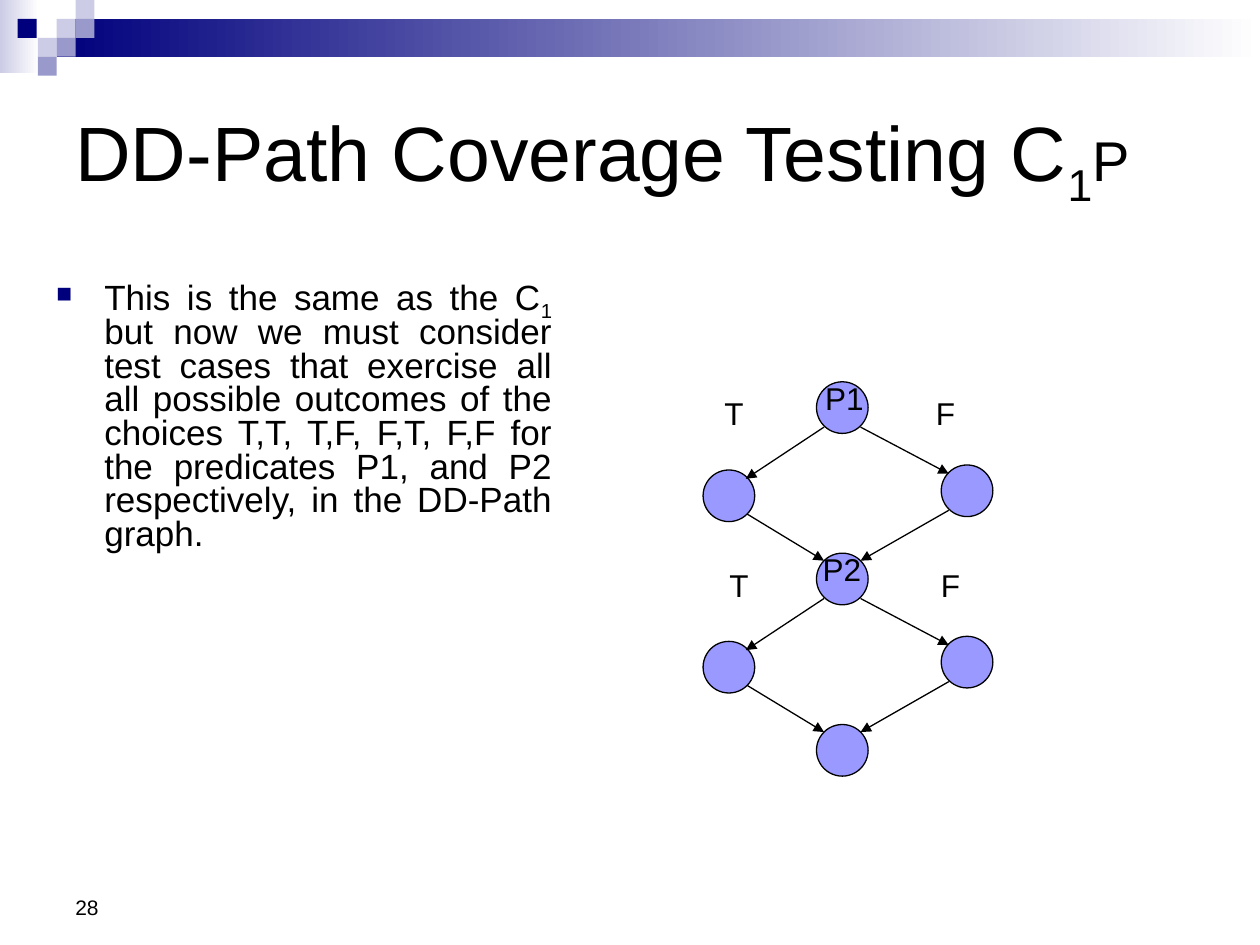
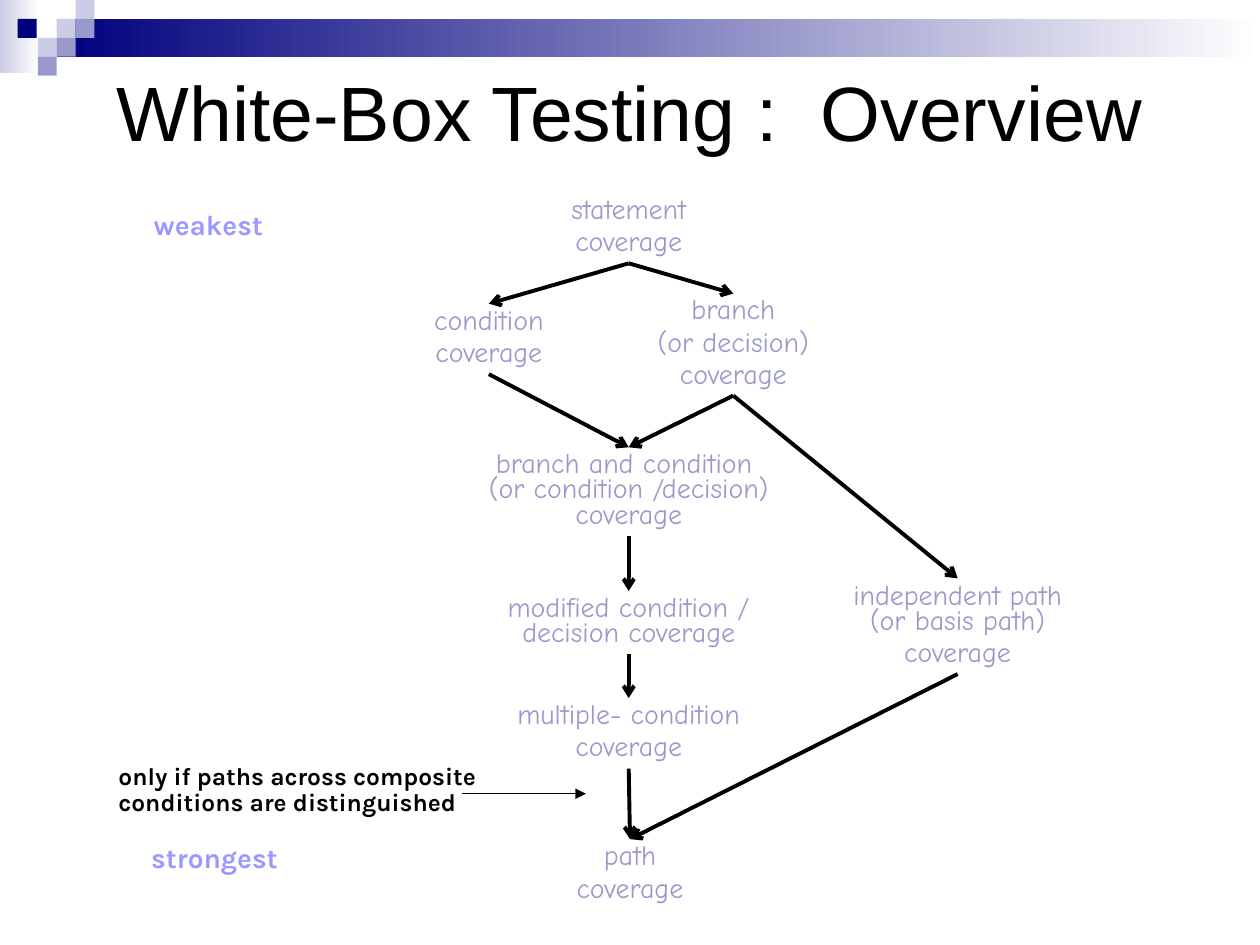
from dataclasses import dataclass

from pptx import Presentation
from pptx.dml.color import RGBColor
from pptx.enum.shapes import MSO_CONNECTOR as Connector, MSO_SHAPE as Shape
from pptx.enum.text import MSO_ANCHOR as Anchor, PP_ALIGN as Align
from pptx.oxml.ns import qn
from pptx.oxml.xmlchemy import OxmlElement as Element
from pptx.util import Inches, Pt


@dataclass(frozen=True)
class Theme:
    ink: str = "000000"
    white: str = "FFFFFF"
    navy: str = "00007D"
    lavender: str = "9999CC"
    mist: str = "CCCCE6"
    periwinkle: str = "9999FF"
    sans: str = "Arial"
    casual: str = "Comic Neue"
    accent: str = "Karla"
    title: int = 44
    title_suffix: int = 32
    body: int = 20
    label: int = 18
    coverage: int = 16
    note: int = 14
    number: int = 12
    thin: float = 0.75
    thick: float = 2.25


theme = Theme()


def add_text(slide, box, paragraphs, size, font=theme.sans, color=theme.ink, bold=False,
             align=Align.LEFT, anchor=Anchor.TOP, inset=(0.1, 0.05),
             spacing=None, before=0):
    frame = slide.shapes.add_textbox(*map(Inches, box)).text_frame
    frame.word_wrap = True
    frame.vertical_anchor = anchor
    frame.margin_left = frame.margin_right = Inches(inset[0])
    frame.margin_top = frame.margin_bottom = Inches(inset[1])
    for index, parts in enumerate(paragraphs):
        paragraph = frame.add_paragraph() if index else frame.paragraphs[0]
        paragraph.text = parts[0]
        for part in parts[1:]:
            paragraph.add_run().text = part
        paragraph.alignment = align
        paragraph.space_before = Pt(before)
        if spacing:
            paragraph.line_spacing = spacing
        for run in paragraph.runs:
            run.font.name = font
            run.font.size = Pt(size)
            run.font.bold = bold
            run.font.color.rgb = RGBColor.from_string(color)
    return frame.paragraphs[0]


def add_arrow(slide, start, end, width, head):
    arrow = slide.shapes.add_connector(Connector.STRAIGHT, *map(Inches, (*start, *end)))
    arrow.line.color.rgb = RGBColor.from_string(theme.ink)
    arrow.line.width = Pt(width)
    properties = arrow._element.spPr
    tail = Element("a:tailEnd")
    tail.set("type", head)
    properties.find(qn("a:ln")).append(tail)
    properties.append(Element("a:effectLst"))


deck = Presentation()
deck.slide_width, deck.slide_height = Inches(10), Inches(7.5)
blank = deck.slide_layouts[6]
path_slide = deck.slides.add_slide(blank)
overview_slide = deck.slides.add_slide(blank)

square = 0.15
header_parts = [
    (0, 0, 0.31, 0.58, theme.mist, True),
    (0.45, 0.15, 9.55, 0.3, theme.navy, True),
    (0.45, 0.15, square, square, theme.mist, False),
    (0.6, 0, square, square, theme.mist, False),
    (0.6, 0.15, square, square, theme.lavender, False),
    (0.3, 0.3, square, square, theme.mist, False),
    (0.14, 0.15, square, square, theme.navy, False),
    (0.45, 0.3, square, square, theme.lavender, False),
    (0.3, 0.45, square, square, theme.lavender, False),
]
for slide in (path_slide, overview_slide):
    for *box, color, fades in header_parts:
        block = slide.shapes.add_shape(Shape.RECTANGLE, *map(Inches, box))
        block.shadow.inherit = False
        block.line.fill.background()
        if fades:
            block.fill.gradient()
            block.fill.gradient_angle = 0
            for stop, shade in zip(block.fill.gradient_stops, (color, theme.white)):
                stop.color.rgb = RGBColor.from_string(shade)
        else:
            block.fill.solid()
            block.fill.fore_color.rgb = RGBColor.from_string(color)

add_text(path_slide, (0.5, 6.83, 2.33, 0.52), [["28"]], theme.number, anchor=Anchor.BOTTOM)
path_title = add_text(path_slide, (0.5, 0.5, 9, 1.5),
                      [["DD-Path Coverage Testing C", "1", "P"]],
                      theme.title, anchor=Anchor.MIDDLE)
path_title.runs[2].font.size = Pt(theme.title_suffix)
explanation = add_text(
    path_slide, (0.35, 2.17, 4.13, 2.48),
    [["This is the same as the C", "1",
      " but now we must consider test cases that exercise all all possible outcomes of the "
      "choices T,T, T,F, F,T, F,F for the predicates P1, and P2 respectively, in the "
      "DD-Path graph."]],
    theme.body, align=Align.JUSTIFY, spacing=0.8, before=5)
for paragraph in (path_title, explanation):
    paragraph.runs[1]._r.get_or_add_rPr().set("baseline", "-25000")

bullet = explanation._p.get_or_add_pPr()
bullet.set("marL", str(Inches(0.38)))
bullet.set("indent", str(Inches(-0.38)))
bullet_color = Element("a:buClr")
bullet_rgb = Element("a:srgbClr")
bullet_rgb.set("val", theme.navy)
bullet_color.append(bullet_rgb)
bullet.append(bullet_color)
for tag, key, value in (("a:buSzPct", "val", "75000"), ("a:buFont", "typeface", theme.sans),
                        ("a:buChar", "char", "■")):
    setting = Element(tag)
    setting.set(key, value)
    bullet.append(setting)

level_gap = 1.36
diameter = 0.41
levels = [0, level_gap]
graph_nodes = [(x, y + level) for level in levels
               for x, y in ((6.48, 3.03), (5.58, 3.73), (7.47, 3.69))]
graph_nodes.append((6.48, 3.03 + 2 * level_gap))
for x, y in graph_nodes:
    node = path_slide.shapes.add_shape(Shape.OVAL, *map(Inches, (x, y, diameter, diameter)))
    node.shadow.inherit = False
    node.fill.solid()
    node.fill.fore_color.rgb = RGBColor.from_string(theme.periwinkle)
    node.line.color.rgb = RGBColor.from_string(theme.ink)
    node.line.width = Pt(theme.thin)

branches = [((6.54, 3.39), (5.92, 3.8)), ((6.83, 3.39), (7.53, 3.76)),
            ((5.93, 4.08), (6.54, 4.45)), ((7.53, 4.05), (6.83, 4.45))]
for level in levels:
    for (x1, y1), (x2, y2) in branches:
        add_arrow(path_slide, (x1, y1 + level), (x2, y2 + level), theme.thin, "triangle")

for level, predicate, predicate_x, true_x in ((0, "P1", 6.45, 5.65),
                                              (level_gap, "P2", 6.43, 5.69)):
    for text, x, y in (("T", true_x, 3.08), ("F", true_x + 1.68, 3.08),
                       (predicate, predicate_x, 2.96)):
        add_text(path_slide, (x, y + level, 0.6, 0.4), [[text]], theme.label)

add_text(overview_slide, (0.5, 0.5, 9, 0.75), [["White-Box Testing :  Overview"]],
         theme.title, align=Align.CENTER, anchor=Anchor.MIDDLE)

criteria = {
    "statement": (4.99, 1.53, 1.2, 0.56, ["statement", "coverage"]),
    "condition": (3.88, 2.41, 1.52, 0.56, ["condition", "coverage"]),
    "branch": (5.82, 2.33, 1.88, 0.81, ["branch", "(or decision)", "coverage"]),
    "combined": (4.99, 3.55, 2.91, 0.7,
                 ["branch and condition \v(or condition /decision) coverage"]),
    "modified": (4.99, 4.69, 2.63, 0.5, ["modified condition / decision coverage"]),
    "multiple": (4.99, 5.54, 3.09, 0.56, ["multiple- condition", "coverage"]),
    "independent": (7.6, 4.59, 2.08, 0.76, ["independent path (or basis path)", "coverage"]),
    "path": (5, 6.66, 1.2, 0.56, ["path", "coverage"]),
}
for center, top, width, height, lines in criteria.values():
    add_text(overview_slide, (center - width / 2, top, width, height),
             [[line] for line in lines], theme.coverage, theme.casual, theme.lavender,
             align=Align.CENTER, anchor=Anchor.MIDDLE, spacing=0.75,
             before=4 if len(lines) > 1 else 0)

subsumptions = [("statement", "condition"), ("statement", "branch"),
                ("condition", "combined"), ("branch", "combined"),
                ("combined", "modified"), ("modified", "multiple"),
                ("independent", "path"), ("branch", "independent"), ("multiple", "path")]
for weaker, stronger in subsumptions:
    center, top, width, height, lines = criteria[weaker]
    add_arrow(overview_slide, (center, top + height), criteria[stronger][:2],
              theme.thick, "arrow")

remarks = [
    ((1.2, 6.7, 1.07, 0.24), "strongest", theme.coverage, theme.periwinkle),
    ((1.22, 1.68, 0.93, 0.24), "weakest", theme.coverage, theme.periwinkle),
    ((0.94, 6.07, 2.87, 0.62),
     "only if paths across composite conditions are distinguished",
     theme.note, theme.ink),
]
for box, text, size, color in remarks:
    add_text(overview_slide, box, [[text]], size, theme.accent, color, bold=True,
             inset=(0, 0), spacing=0.89)
add_arrow(overview_slide, (3.67, 6.3), (4.65, 6.3), theme.thin, "triangle")

deck.save("out.pptx")
